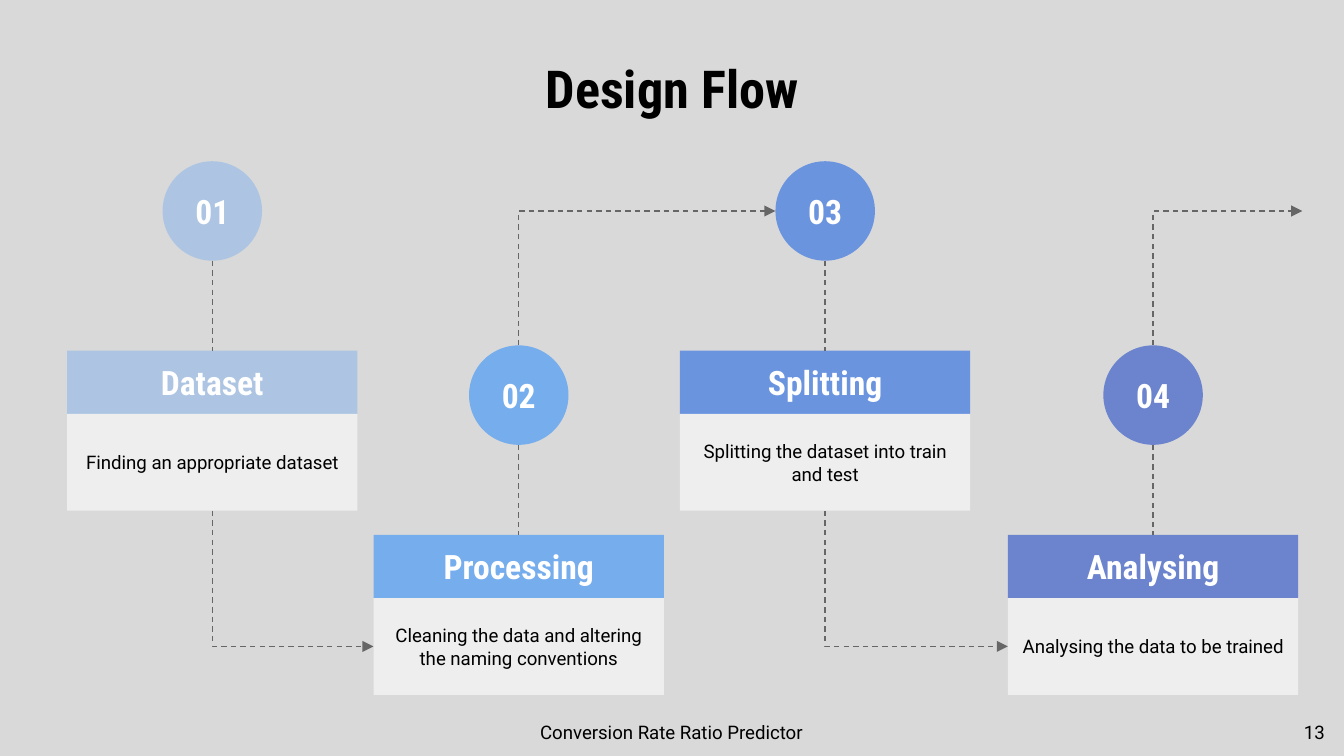
from lxml import etree
from pptx import Presentation
from pptx.dml.color import RGBColor
from pptx.enum.dml import MSO_LINE
from pptx.enum.shapes import MSO_CONNECTOR, MSO_SHAPE
from pptx.enum.text import MSO_ANCHOR, PP_ALIGN
from pptx.oxml.ns import qn
from pptx.util import Inches, Pt

RECT, OVAL = MSO_SHAPE.RECTANGLE, MSO_SHAPE.OVAL
STRAIGHT, DASH = MSO_CONNECTOR.STRAIGHT, MSO_LINE.DASH
CENTER, MIDDLE, TOP = PP_ALIGN.CENTER, MSO_ANCHOR.MIDDLE, MSO_ANCHOR.TOP

HEADING_FONT, BODY_FONT = "Roboto Condensed", "Roboto"
BACKGROUND, PANEL, LINE = "D9D9D9", "EEEEEE", "666666"
BLACK, WHITE = "000000", "FFFFFF"

TITLE = "Design Flow"
FOOTER = "Conversion Rate Ratio Predictor"
PAGE = "13"

# number, heading, description, left, colour, opacity in percent
STEPS = [
    ("01", "Dataset", "Finding an appropriate dataset", 0.5, "2A8BFD", 25),
    ("02", "Processing", "Cleaning the data and altering the naming conventions",
     2.78, "2A8BFD", 56),
    ("03", "Splitting", "Splitting the dataset into train and test",
     5.06, "155FE5", 56),
    ("04", "Analysing", "Analysing the data to be trained", 7.5, "1642C5", 56),
]

SLIDE_W = 10
SLIDE_H = SLIDE_W * 9 / 16
CARD_W, HEADING_H, BODY_H = 2.16, 0.47, 0.72
CIRCLE, STEM = 0.74, 0.67
ROW_TOPS = (1.2, 2.57)  # circle tops: odd steps high, even steps low
EXIT_X = 9.69


def rgb(value):
    return RGBColor.from_string(value)


def write(shape, text, size, font, color, bold=False, anchor=MIDDLE):
    frame = shape.text_frame
    frame.word_wrap = True
    frame.vertical_anchor = anchor
    frame.margin_left = frame.margin_right = Inches(0.1)
    frame.margin_top = frame.margin_bottom = Inches(0.1)
    paragraph = frame.paragraphs[0]
    paragraph.alignment = CENTER
    run = paragraph.add_run()
    run.text = text
    run.font.size = Pt(size)
    run.font.name = font
    run.font.bold = bold
    run.font.color.rgb = rgb(color)


def add_label(slide, box, *text_args, **text_options):
    label = slide.shapes.add_textbox(*map(Inches, box))
    write(label, *text_args, **text_options)


def add_block(slide, kind, box, color, opacity=100):
    block = slide.shapes.add_shape(kind, *map(Inches, box))
    block.shadow.inherit = False
    block.fill.solid()
    block.fill.fore_color.rgb = rgb(color)
    block.line.fill.background()
    if opacity < 100:
        tint = block._element.spPr.find(f".//{qn('a:srgbClr')}")
        etree.SubElement(tint, qn("a:alpha"), val=str(opacity * 1000))
    return block


def add_dashed(slide, x1, y1, x2, y2):
    dashed = slide.shapes.add_connector(STRAIGHT, *map(Inches, (x1, y1, x2, y2)))
    dashed.line.color.rgb = rgb(LINE)
    dashed.line.width = Pt(0.75)
    dashed.line.dash_style = DASH
    etree.SubElement(dashed._element.spPr, qn("a:effectLst"))
    return dashed


def add_elbow_arrow(slide, x1, y1, x2, y2):
    """Go vertically from the start, then right to the arrowhead."""
    # The elbow is a box turned by 270 degrees about the middle of the path.
    mid_x, mid_y = (x1 + x2) / 2, (y1 + y2) / 2
    half_w, half_h = (y1 - y2) / 2, (x2 - x1) / 2
    # A downward path has a negative half_w, which flips the box.
    elbow = add_dashed(slide, mid_x - half_w, mid_y - half_h,
                       mid_x + half_w, mid_y + half_h)
    properties = elbow._element.spPr
    properties.find(qn("a:xfrm")).set("rot", str(270 * 60000))
    properties.find(qn("a:prstGeom")).set("prst", "bentConnector2")
    etree.SubElement(properties.find(qn("a:ln")), qn("a:tailEnd"), type="triangle")


def add_step(slide, index):
    number, heading, description, left, color, opacity = STEPS[index]
    low = index % 2
    circle_top = ROW_TOPS[low]
    center = left + CARD_W / 2
    card_top = circle_top + CIRCLE + STEM
    body_top = card_top + HEADING_H

    heading_box = add_block(slide, RECT, (left, card_top, CARD_W, HEADING_H),
                            color, opacity)
    write(heading_box, heading, 18, HEADING_FONT, WHITE, bold=True)
    body = add_block(slide, RECT, (left, body_top, CARD_W, BODY_H), PANEL)
    write(body, description, 10, BODY_FONT, BLACK)
    circle = add_block(slide, OVAL,
                       (center - CIRCLE / 2, circle_top, CIRCLE, CIRCLE),
                       color, opacity)
    write(circle, number, 18, HEADING_FONT, WHITE, bold=True)
    add_dashed(slide, center, circle_top + CIRCLE, center, card_top)

    is_last = index == len(STEPS) - 1
    next_left = EXIT_X if is_last else STEPS[index + 1][3]
    if low:
        target_x = EXIT_X if is_last else next_left + (CARD_W - CIRCLE) / 2
        add_elbow_arrow(slide, center, circle_top,
                        target_x, ROW_TOPS[0] + CIRCLE / 2)
    else:
        next_body_top = ROW_TOPS[1] + CIRCLE + STEM + HEADING_H
        add_elbow_arrow(slide, center, body_top + BODY_H,
                        next_left, next_body_top + BODY_H / 2)


def main():
    deck = Presentation()
    deck.slide_width, deck.slide_height = Inches(SLIDE_W), Inches(SLIDE_H)
    slide = deck.slides.add_slide(deck.slide_layouts[6])
    slide.background.fill.solid()
    slide.background.fill.fore_color.rgb = rgb(BACKGROUND)

    add_label(slide, (0.5, 0.45, 9, 0.41), TITLE, 28, HEADING_FONT, BLACK, bold=True)
    for index in range(len(STEPS)):
        add_step(slide, index)
    add_label(slide, (9.48, 5.28, 0.6, 0.43), PAGE, 10, BODY_FONT, BLACK, anchor=TOP)
    add_label(slide, (3.34, 5.28, 3.31, 0.43), FOOTER, 10, BODY_FONT, BLACK, anchor=TOP)
    deck.save("out.pptx")


if __name__ == "__main__":
    main()
